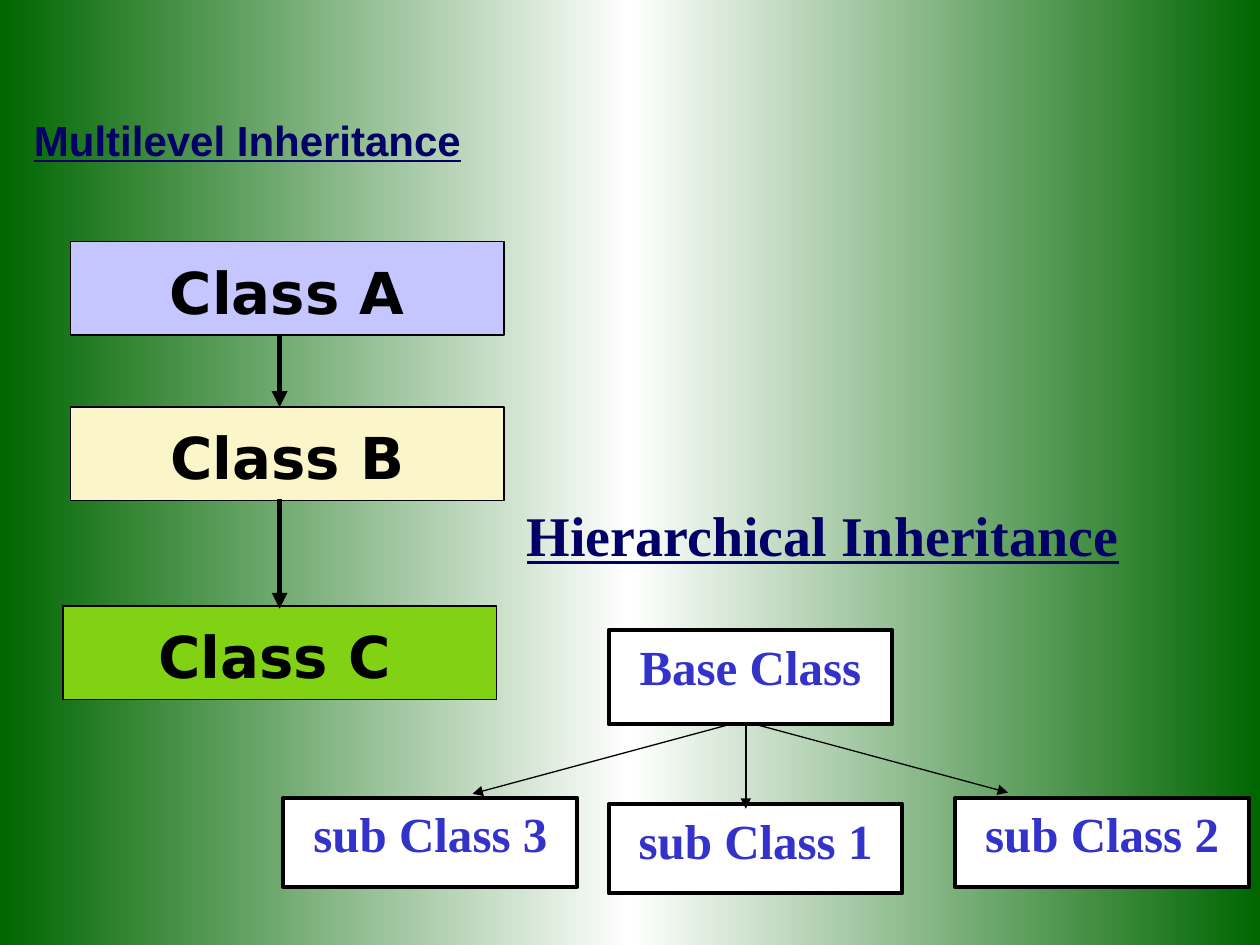
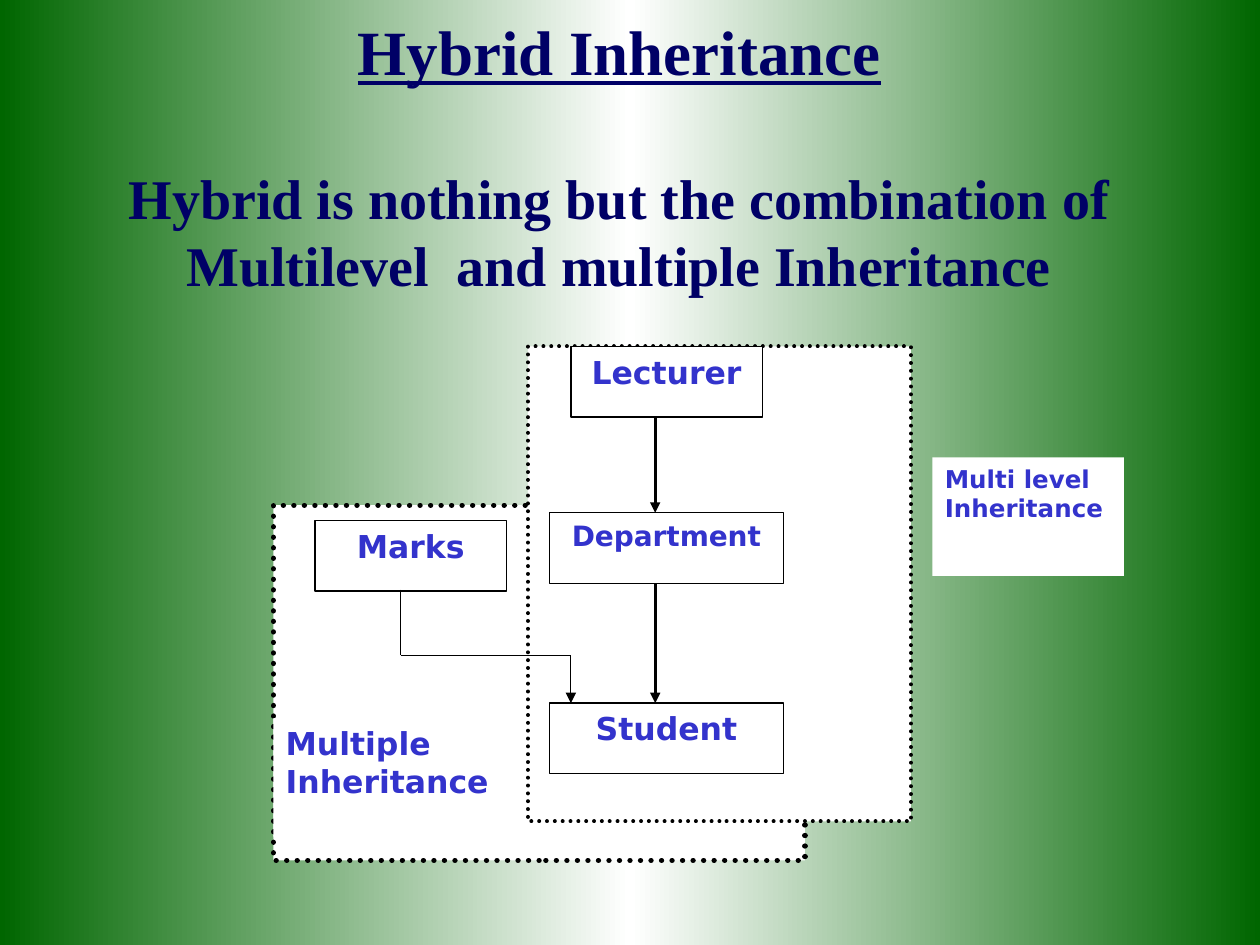
from dataclasses import dataclass
from copy import deepcopy
from lxml.etree import SubElement
from pptx import Presentation
from pptx.dml.color import RGBColor
from pptx.enum.dml import MSO_LINE
from pptx.enum.shapes import MSO_CONNECTOR, MSO_SHAPE
from pptx.enum.text import MSO_ANCHOR, MSO_AUTO_SIZE, PP_ALIGN
from pptx.oxml.ns import qn
from pptx.util import Pt


@dataclass(frozen=True)
class Theme:
    green: RGBColor = RGBColor.from_string("006600")
    white: RGBColor = RGBColor.from_string("FFFFFF")
    black: RGBColor = RGBColor.from_string("000000")
    navy: RGBColor = RGBColor.from_string("000066")
    blue: RGBColor = RGBColor.from_string("3333CC")
    lilac: RGBColor = RGBColor.from_string("C5C5FF")
    cream: RGBColor = RGBColor.from_string("FBF6C9")
    lime: RGBColor = RGBColor.from_string("80D212")
    sans: str = "DejaVu Sans"
    serif: str = "Times New Roman"
    heading: str = "Arial"
    title_size: int = 36
    class_size: int = 33
    subtitle_size: int = 32
    node_size: int = 28
    heading_size: int = 24
    label_size: int = 18
    small_size: int = 16
    note_size: int = 14
    thin: float = 0.74
    medium: float = 1.5
    thick: float = 2.24
    heavy: float = 3


theme = Theme()


def write_text(frame, text, size, font=theme.serif, color=theme.blue, underline=False,
               align=PP_ALIGN.CENTER, anchor=MSO_ANCHOR.TOP, wrap=True, top=3.6, right=7.2):
    frame.auto_size = MSO_AUTO_SIZE.NONE
    frame.word_wrap = wrap
    frame.vertical_anchor = anchor
    frame.margin_left, frame.margin_right = Pt(7.2), Pt(right)
    frame.margin_top, frame.margin_bottom = Pt(top), Pt(3.6)
    frame.text = text
    for para in frame.paragraphs:
        para.alignment = align
        for span in para.runs:
            span.font.name = font
            span.font.size = Pt(size)
            span.font.bold = True
            span.font.underline = underline
            span.font.color.rgb = color


def draw_box(page, left, top, width, height, fill=theme.white, line=theme.thin):
    box = page.shapes.add_shape(MSO_SHAPE.RECTANGLE, Pt(left), Pt(top), Pt(width), Pt(height))
    box.shadow.inherit = False
    box.fill.solid()
    box.fill.fore_color.rgb = fill
    if line:
        box.line.color.rgb = theme.black
        box.line.width = Pt(line)
    else:
        box.line.fill.background()
    return box


deck = Presentation()
deck.slide_width, deck.slide_height = Pt(720), Pt(540)

background = deck.slide_master.background.fill
background.gradient()
background.gradient_angle = 0
stop_list = deck.slide_master.element.find(".//" + qn("a:gsLst"))
stop_list.append(deepcopy(stop_list[0]))
for stop, position, color in zip(background.gradient_stops, (0, 0.5, 1),
                                 (theme.green, theme.white, theme.green)):
    stop.position = position
    stop.color.rgb = color

title_only = deck.slide_layouts[5]
levels_page = deck.slides.add_slide(title_only)
hybrid_page = deck.slides.add_slide(title_only)

title = levels_page.shapes.title
title.left, title.top, title.width, title.height = Pt(12.2), Pt(61.9), Pt(324), Pt(36)
write_text(title.text_frame, "Multilevel Inheritance", size=theme.heading_size,
           font=theme.heading, color=theme.navy, underline=True,
           align=PP_ALIGN.LEFT, anchor=MSO_ANCHOR.MIDDLE)

for text, left, top, fill, right in (
    ("Class A", 40.3, 138.2, theme.lilac, 7.2),
    ("Class B", 40.3, 232.6, theme.cream, 7.2),
    ("Class C", 36, 346.3, theme.lime, 13),
):
    box = draw_box(levels_page, left, top, 247.7, 53.3, fill)
    write_text(box.text_frame, text, size=theme.class_size, font=theme.sans,
               color=theme.black, top=8.6, right=right)

heading = levels_page.shapes.add_textbox(Pt(293.8), Pt(282.2), Pt(353.5), Pt(46.1))
write_text(heading.text_frame, "Hierarchical Inheritance", size=theme.subtitle_size,
           color=theme.navy, underline=True, align=PP_ALIGN.LEFT,
           anchor=MSO_ANCHOR.MIDDLE, wrap=False)

for text, left, top, width, height in (
    ("Base Class", 347.8, 360, 162, 54),
    ("sub Class 1", 347.8, 459.4, 167.8, 51.1),
    ("sub Class 3", 162, 455.8, 167.8, 51.1),
    ("sub Class 2", 545.8, 455.8, 167.8, 51.1),
):
    box = draw_box(levels_page, left, top, width, height, line=theme.thick)
    write_text(box.text_frame, text, size=theme.node_size)

title = hybrid_page.shapes.title
title.left, title.top, title.width, title.height = Pt(36), Pt(3.6), Pt(635.8), Pt(170.6)
write_text(title.text_frame,
           "Hybrid Inheritance\n"
           "Hybrid is nothing but the combination of Multilevel  and multiple Inheritance",
           size=theme.title_size, color=theme.navy, anchor=MSO_ANCHOR.MIDDLE)
name, definition = title.text_frame.paragraphs
name.runs[0].font.underline = True
definition.runs[0].font.size = Pt(theme.subtitle_size)
definition.space_before = Pt(43)

for left, top, width, height, line in (
    (156.2, 288.7, 303.8, 203, theme.heavy),
    (301.7, 198, 218.9, 271.4, theme.thick),
):
    frame_box = draw_box(hybrid_page, left, top, width, height, line=line)
    frame_box.line.dash_style = MSO_LINE.ROUND_DOT
    frame_box.element.spPr.find(qn("a:ln")).set("cap", "rnd")

for text, left, top, width, size in (
    ("Lecturer", 326.2, 198, 109.4, theme.label_size),
    ("Marks", 180, 297.4, 109.4, theme.label_size),
    ("Department", 313.9, 293, 133.9, theme.small_size),
    ("Student", 313.9, 401.8, 133.9, theme.label_size),
):
    box = draw_box(hybrid_page, left, top, width, 40.3)
    write_text(box.text_frame, text, size=size, font=theme.sans)

for text, left, top, width, size in (
    ("Multi level\nInheritance", 532.8, 261.4, 109.4, theme.note_size),
    ("Multiple\nInheritance", 156.2, 410.4, 133.9, theme.label_size),
):
    box = draw_box(hybrid_page, left, top, width, 67.7, line=None)
    write_text(box.text_frame, text, size=size, font=theme.sans, align=PP_ALIGN.LEFT)

for page, start_x, start_y, end_x, end_y, width, arrow in (
    (levels_page, 159.8, 190.8, 159.8, 232.6, theme.heavy, True),
    (levels_page, 159.8, 285.1, 159.8, 347.8, theme.heavy, True),
    (levels_page, 426.2, 414, 426.2, 462.2, theme.medium, True),
    (levels_page, 416.9, 414, 270, 453.6, theme.thin, True),
    (levels_page, 432, 414, 576, 452.9, theme.thin, True),
    (hybrid_page, 374.4, 239, 374.4, 293, theme.medium, True),
    (hybrid_page, 374.4, 333.4, 374.4, 401.8, theme.medium, True),
    (hybrid_page, 229, 337, 229, 374.4, theme.thin, False),
    (hybrid_page, 229, 374.4, 326.2, 374.4, theme.thin, False),
    (hybrid_page, 326.2, 374.4, 326.2, 401.8, theme.thin, True),
):
    connector = page.shapes.add_connector(MSO_CONNECTOR.STRAIGHT, Pt(start_x), Pt(start_y),
                                          Pt(end_x), Pt(end_y))
    connector.line.color.rgb = theme.black
    connector.line.width = Pt(width)
    properties = connector.element.spPr
    if arrow:
        SubElement(properties.find(qn("a:ln")), qn("a:tailEnd"), type="triangle")
    SubElement(properties, qn("a:effectLst"))

deck.save("out.pptx")
